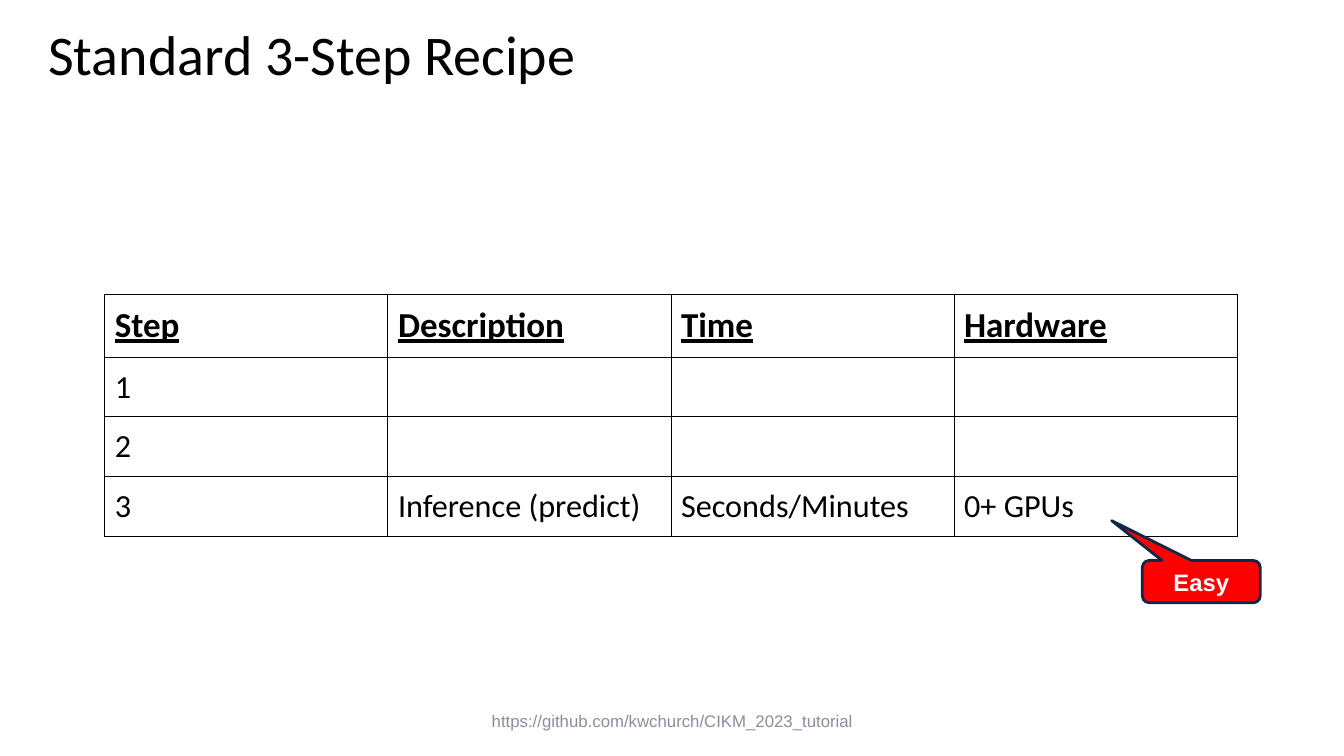
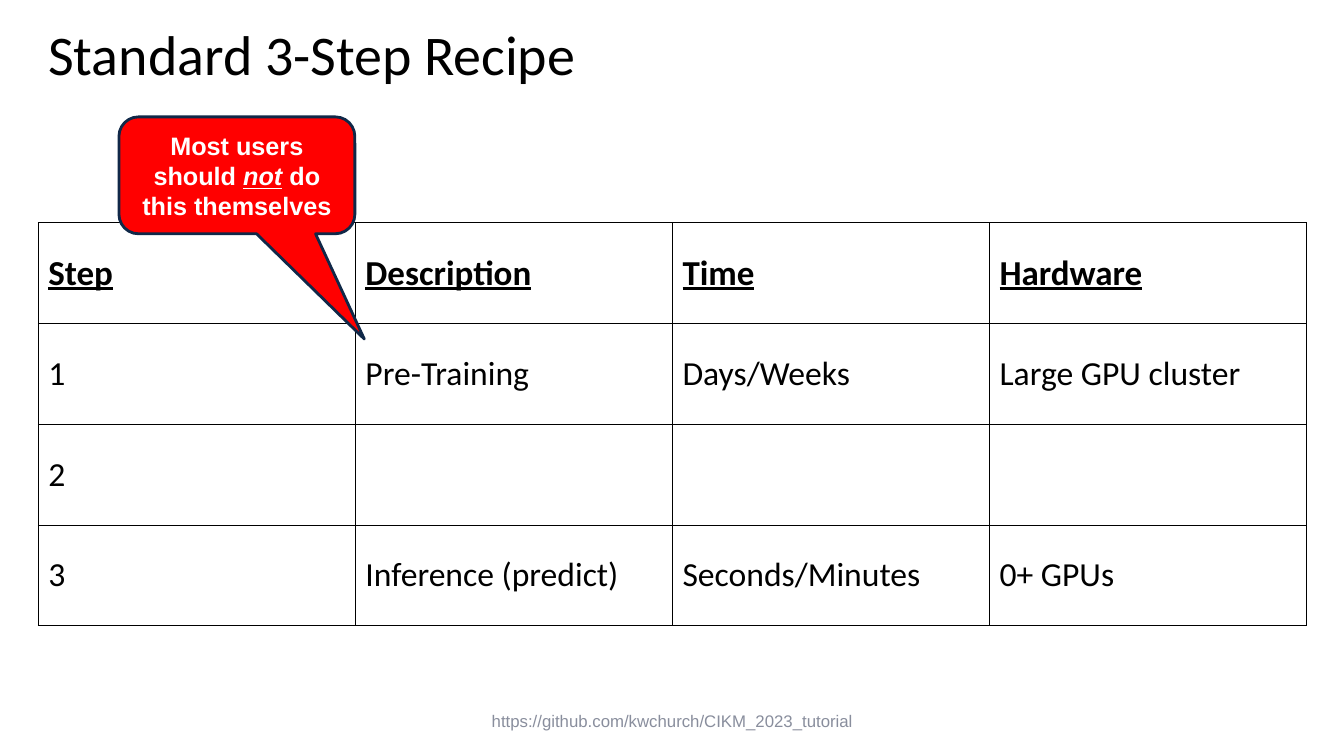
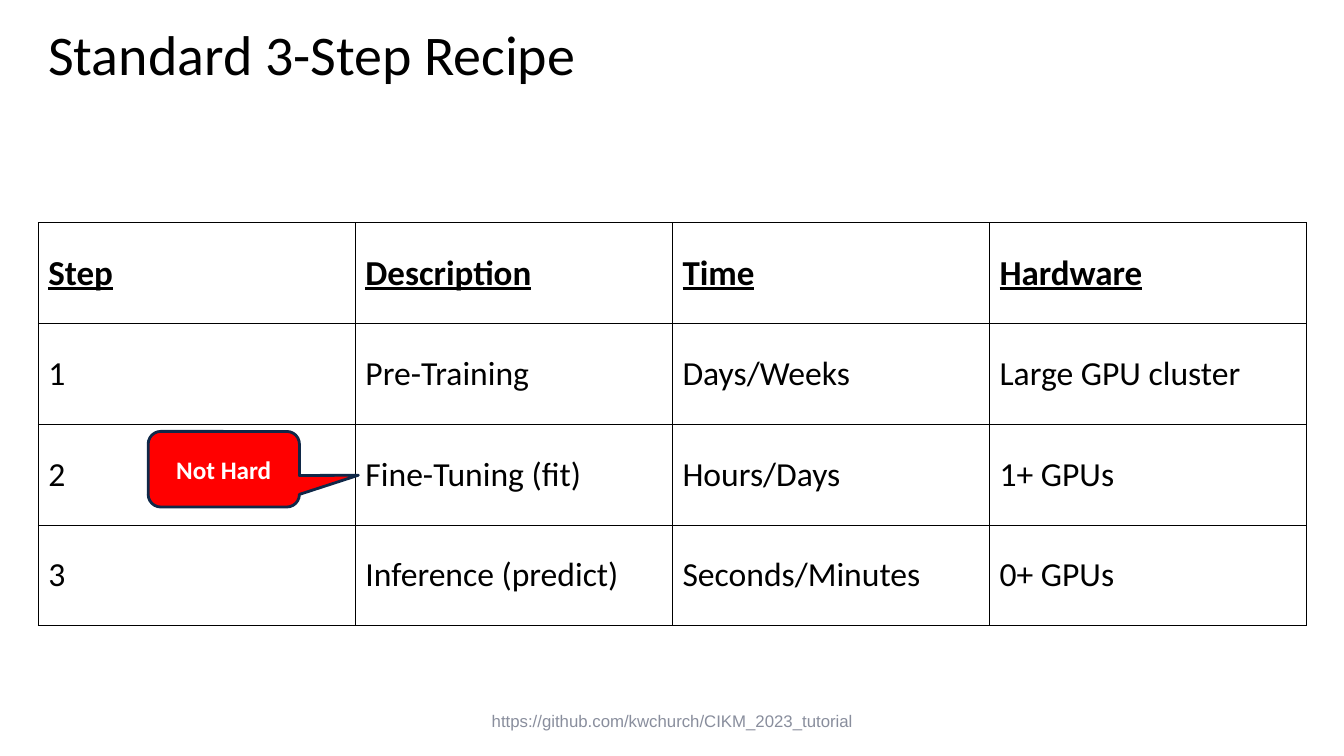
"""Build three slides that fill in the standard 3-step recipe table."""
from lxml.etree import SubElement
from pptx import Presentation
from pptx.dml.color import RGBColor
from pptx.enum.shapes import MSO_SHAPE
from pptx.enum.text import MSO_ANCHOR as Anchor, PP_ALIGN as Align
from pptx.oxml.ns import qn
from pptx.util import Inches, Pt

COLORS = {"ink": "000000", "footer": "898E9D", "callout": "FF0000",
          "outline": "102848", "paper": "FFFFFF"}
TITLE = "Standard 3-Step Recipe"
FOOTER = "https://github.com/kwchurch/CIKM_2023_tutorial"
HEADER = ["Step", "Description", "Time", "Hardware"]
STEPS = {
    1: ["Pre-Training", "Days/Weeks", "Large GPU cluster"],
    2: ["Fine-Tuning (fit)", "Hours/Days", "1+ GPUs"],
    3: ["Inference (predict)", "Seconds/Minutes", "0+ GPUs"],
}


class Deck:
    def __init__(self):
        self.prs = Presentation()
        self.prs.slide_width = Inches(13.33)
        self.prs.slide_height = Inches(7.5)
        self.slide = None

    def color(self, name):
        return RGBColor.from_string(COLORS[name])

    def style(self, font, face, size, color, bold=False):
        font.name, font.size, font.bold = face, Pt(size), bold
        font.color.rgb = self.color(color)

    def new_slide(self):
        self.slide = self.prs.slides.add_slide(self.prs.slide_layouts[6])

    def frame(self):
        title = self.text(TITLE, (0.38, 0.16, 12.58, 0.82), "Calibri", 40, "ink")
        title.line_spacing = 0.9
        footer = self.text(FOOTER, (4.42, 6.95, 4.5, 0.4), "Arial", 12, "footer")
        footer.alignment = Align.CENTER

    def text(self, words, box, face, size, color):
        frame = self.slide.shapes.add_textbox(*map(Inches, box)).text_frame
        frame.word_wrap = True
        frame.vertical_anchor = Anchor.MIDDLE
        frame.text = words
        paragraph = frame.paragraphs[0]
        self.style(paragraph.runs[0].font, face, size, color)
        return paragraph

    def cell(self, cell, words, size, anchor, heading):
        cell.margin_left = cell.margin_right = Inches(0.1)
        cell.margin_top = cell.margin_bottom = Inches(0.1)
        cell.vertical_anchor = anchor
        properties = cell._tc.get_or_add_tcPr()
        for side in ("lnL", "lnR", "lnT", "lnB"):
            border = SubElement(properties, qn(f"a:{side}"), w=str(Pt(0.75)))
            fill = SubElement(border, qn("a:solidFill"))
            SubElement(fill, qn("a:srgbClr"), val=COLORS["ink"])
        cell.fill.background()
        if words:
            cell.text = words
            font = cell.text_frame.paragraphs[0].runs[0].font
            self.style(font, "Calibri", size, "ink", heading)
            font.underline = heading

    def recipe(self, shown, box, size, anchor):
        rows = [HEADER] + [[str(step)] + (facts if step in shown else [""] * 3)
                           for step, facts in STEPS.items()]
        graphic = self.slide.shapes.add_table(
            len(rows), len(HEADER), *map(Inches, box))
        table = graphic.table
        table.first_row = table.horz_banding = False
        for r, row in enumerate(rows):
            for c, words in enumerate(row):
                self.cell(table.cell(r, c), words, 25 if r == 0 else size,
                          anchor, r == 0)

    def callout(self, parts, box, tip, face, size):
        shape = self.slide.shapes.add_shape(
            MSO_SHAPE.ROUNDED_RECTANGULAR_CALLOUT, *map(Inches, box))
        shape.shadow.inherit = False
        shape.adjustments[0], shape.adjustments[1] = tip
        shape.fill.solid()
        shape.fill.fore_color.rgb = self.color("callout")
        shape.line.color.rgb = self.color("outline")
        shape.line.width = Pt(2)
        frame = shape.text_frame
        frame.word_wrap = True
        frame.vertical_anchor = Anchor.MIDDLE
        paragraph = frame.paragraphs[0]
        paragraph.alignment = Align.CENTER
        for words, stressed in parts:
            run = paragraph.add_run()
            run.text = words
            self.style(run.font, face, size, "paper", True)
            run.font.italic = run.font.underline = stressed


def main():
    compact = ((1.04, 2.92, 11.23, 2.28), 23, Anchor.TOP)
    roomy = ((0.38, 2.21, 12.58, 4), 24, Anchor.MIDDLE)
    warning = [("Most users should ", False), ("not", True),
               (" do this themselves", False)]
    slides = [
        ({3}, compact, ([("Easy", False)], (11.33, 5.56, 1.17, 0.42),
                        (-0.76, -1.44), "Arial", 17)),
        ({1, 3}, roomy, (warning, (1.18, 1.16, 2.34, 1.16),
                         (0.54, 1.4), "Arial", 18)),
        ({1, 2, 3}, roomy, ([("Not Hard", False)], (1.47, 4.28, 1.5, 0.75),
                            (0.89, 0.08), "Calibri", 18)),
    ]
    deck = Deck()
    for shown, layout, remark in slides:
        deck.new_slide()
        deck.recipe(shown, *layout)
        deck.frame()
        deck.callout(*remark)
    deck.prs.save("out.pptx")


if __name__ == "__main__":
    main()
